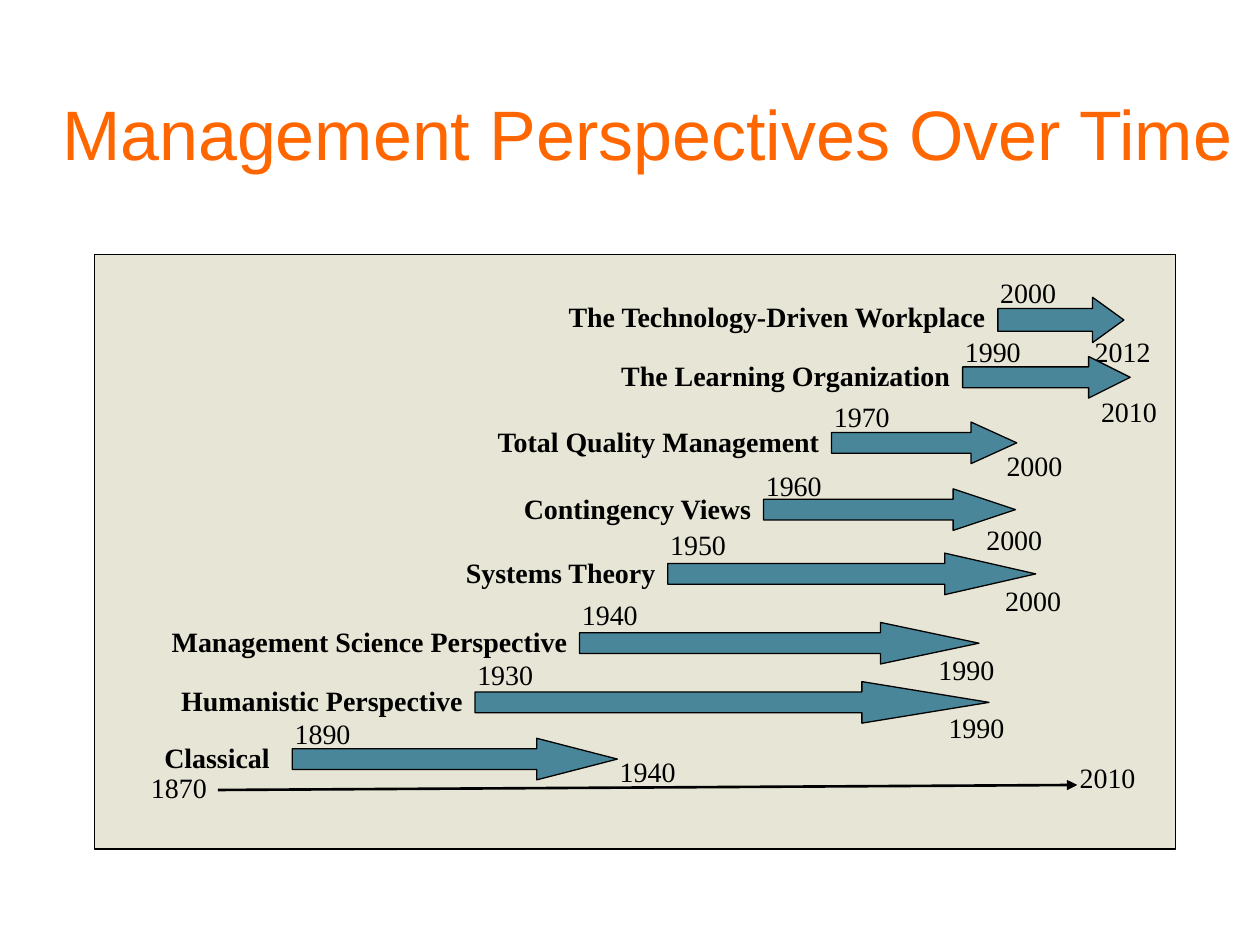
from lxml import etree
from pptx import Presentation
from pptx.dml.color import RGBColor
from pptx.enum.shapes import MSO_CONNECTOR, MSO_SHAPE
from pptx.enum.text import MSO_ANCHOR, PP_ALIGN
from pptx.oxml.ns import qn
from pptx.util import Inches, Pt

RECTANGLE, RIGHT_ARROW = MSO_SHAPE.RECTANGLE, MSO_SHAPE.RIGHT_ARROW
STRAIGHT = MSO_CONNECTOR.STRAIGHT
MIDDLE = MSO_ANCHOR.MIDDLE
LEFT, CENTER, RIGHT = PP_ALIGN.LEFT, PP_ALIGN.CENTER, PP_ALIGN.RIGHT

ORANGE = RGBColor(0xFF, 0x66, 0x00)
BEIGE = RGBColor(0xE7, 0xE5, 0xD5)
TEAL = RGBColor(0x4A, 0x86, 0x9A)
BLACK = RGBColor(0x00, 0x00, 0x00)

TEXT_HEIGHT = 0.37
YEAR_WIDTH = 0.74
YEAR_INDENT = 0.08   # start year begins this far left of its arrow
NAME_RISE = 0.03     # name box begins this far above its arrow

# name, name width, gap to arrow, arrow (left, top, width, height), head ratio,
# start year, its top, end year, its (left, top)
PERSPECTIVES = [
    ("The Technology-Driven Workplace", 3.67, 0, (7.92, 2.36, 1, 0.36), 0.69,
     "2000", 2.14, "2012", (8.59, 2.61)),
    ("The Learning Organization", 2.83, 0, (7.64, 2.83, 1.33, 0.33), 1,
     "1990", 2.61, "2010", (8.64, 3.08)),
    ("Total Quality Management", 3.49, 0, (6.6, 3.35, 1.47, 0.33), 1.1,
     "1970", 3.12, "2000", (7.89, 3.51)),
    ("Contingency Views", 2.08, 0, (6.06, 3.88, 2, 0.33), 1.5,
     "1960", 3.67, "2000", (7.73, 4.1)),
    ("Systems Theory", 1.83, 0, (5.3, 4.39, 2.92, 0.33), 2.19,
     "1950", 4.14, "2000", (7.88, 4.58)),
    ("Management Science Perspective", 3.42, 0, (4.6, 4.94, 3.17, 0.33), 2.37,
     "1940", 4.69, "1990", (7.35, 5.13)),
    ("Humanistic Perspective", 2.58, 0, (3.77, 5.41, 4.08, 0.33), 3.06,
     "1930", 5.17, "1990", (7.43, 5.59)),
    ("Classical", 1.33, 0.08, (2.32, 5.86, 2.58, 0.33), 1.94,
     "1890", 5.64, "1940", (4.82, 5.94)),
]


def add_run(paragraph, text, font_name, size, color, bold=False):
    run = paragraph.add_run()
    run.text = text
    run.font.name = font_name
    run.font.size = Pt(size)
    run.font.bold = bold
    run.font.color.rgb = color


def set_title(slide, text):
    title = slide.shapes.title
    title.left, title.top = Inches(0.27), Inches(0.52)
    title.width, title.height = Inches(9.73), Inches(1.06)
    title.text_frame.vertical_anchor = MIDDLE
    paragraph = title.text_frame.paragraphs[0]
    paragraph.alignment = CENTER
    add_run(paragraph, text, "Arial", 40, ORANGE)


def add_label(shapes, text, left, top, width=YEAR_WIDTH, align=LEFT, bold=False):
    label = shapes.add_textbox(Inches(left), Inches(top),
                               Inches(width), Inches(TEXT_HEIGHT))
    label.text_frame.word_wrap = True
    paragraph = label.text_frame.paragraphs[0]
    paragraph.alignment = align
    add_run(paragraph, text, "Times New Roman", 16, BLACK, bold)


def add_filled_shape(shapes, kind, box, fill, line_width):
    shape = shapes.add_shape(kind, *map(Inches, box))
    shape.shadow.inherit = False
    shape.fill.solid()
    shape.fill.fore_color.rgb = fill
    shape.line.color.rgb = BLACK
    shape.line.width = Pt(line_width)
    return shape


def add_perspective(slide, name, name_width, gap, box, head_ratio,
                    start, start_top, end, end_at):
    shapes = slide.shapes.add_group_shape().shapes
    left, top = box[:2]
    arrow = add_filled_shape(shapes, RIGHT_ARROW, box, TEAL, 0.75)
    arrow.adjustments[0] = 0.5
    arrow.adjustments[1] = head_ratio
    add_label(shapes, start, left - YEAR_INDENT, start_top)
    add_label(shapes, end, *end_at)
    add_label(shapes, name, left - gap - name_width, top - NAME_RISE,
              name_width, RIGHT, bold=True)


def add_time_axis(slide):
    add_label(slide.shapes, "2010", 8.47, 5.99)
    add_label(slide.shapes, "1870", 1.1, 6.07)
    axis = slide.shapes.add_connector(STRAIGHT, Inches(1.73), Inches(6.27),
                                      Inches(8.55), Inches(6.23))
    axis.line.color.rgb = BLACK
    axis.line.width = Pt(1.5)
    etree.SubElement(axis.line._get_or_add_ln(), qn("a:tailEnd"), type="triangle")
    etree.SubElement(axis._element.spPr, qn("a:effectLst"))


def main():
    prs = Presentation()
    prs.slide_width, prs.slide_height = Inches(10), Inches(7.5)
    slide = prs.slides.add_slide(prs.slide_layouts[5])

    # Title and panel
    set_title(slide, "Management Perspectives Over Time")
    add_filled_shape(slide.shapes, RECTANGLE, (0.75, 2.02, 8.58, 4.72), BEIGE, 1)

    # Perspectives, newest first, above the time axis
    for perspective in PERSPECTIVES:
        add_perspective(slide, *perspective)
    add_time_axis(slide)

    prs.save("out.pptx")


if __name__ == "__main__":
    main()
